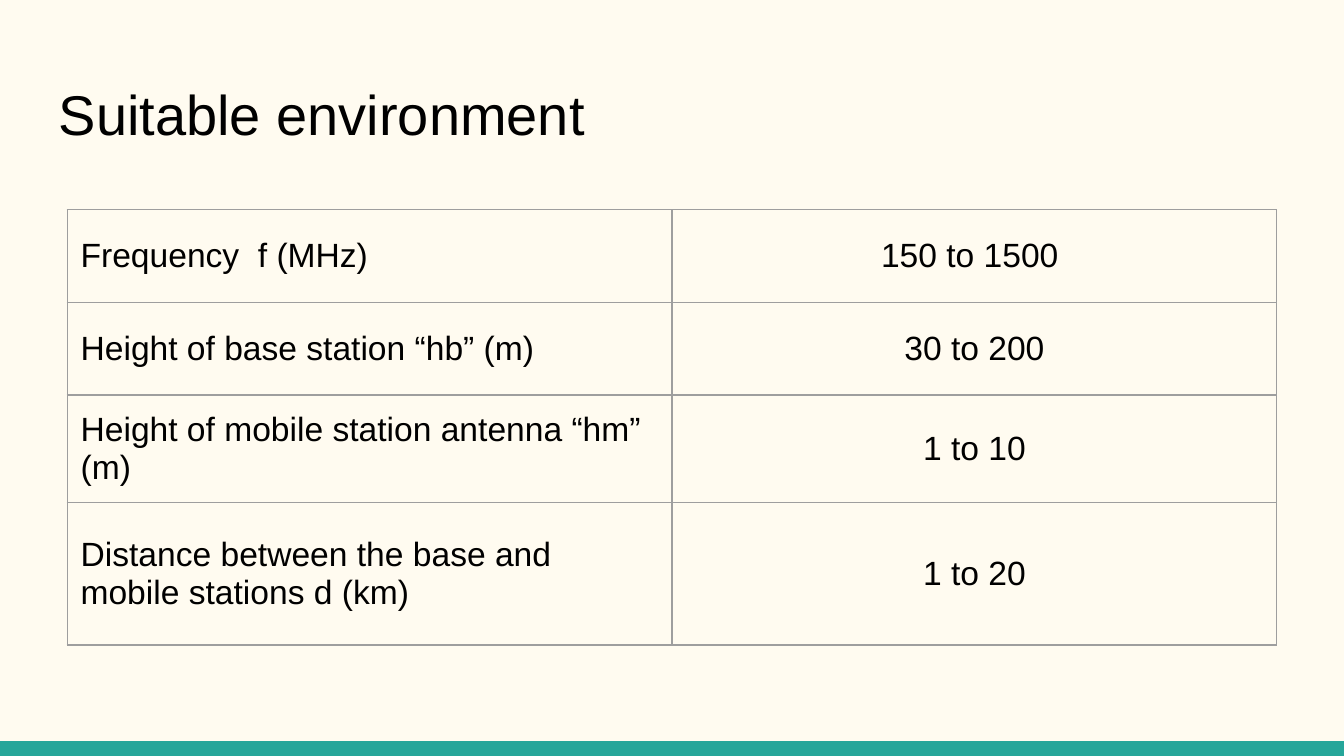
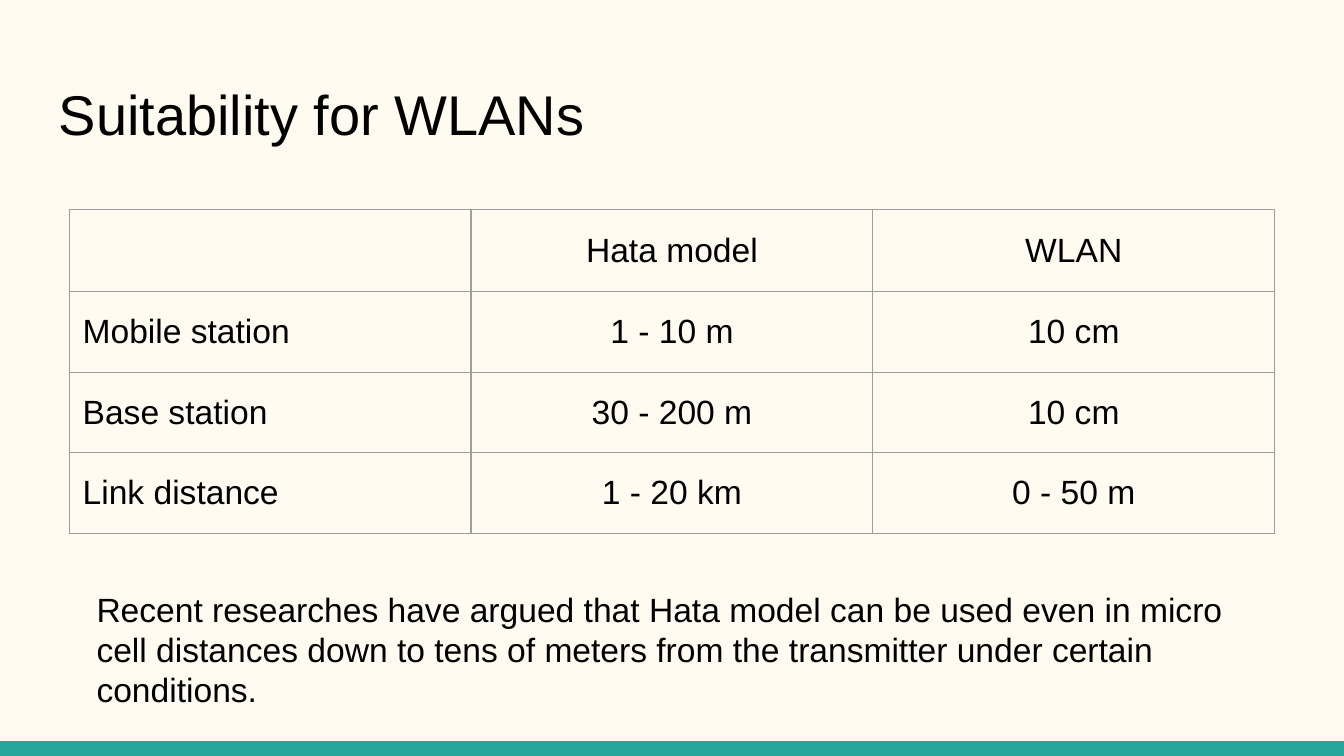
from dataclasses import dataclass

from lxml.etree import SubElement
from pptx import Presentation
from pptx.dml.color import RGBColor
from pptx.enum.shapes import MSO_SHAPE
from pptx.enum.text import MSO_ANCHOR, PP_ALIGN
from pptx.oxml.ns import qn
from pptx.util import Inches, Pt


@dataclass(frozen=True)
class Theme:
    paper: str = "FFFBF0"
    band: str = "26A69A"
    ink: str = "000000"
    rule: str = "9E9E9E"
    rule_width: float = 0.75
    font: str = "Arial"
    title_size: int = 30
    body_size: int = 18
    inset: float = 0.1


THEME = Theme()
WIDTH = 10
HEIGHT = WIDTH * 9 / 16
BAND_HEIGHT = 0.11
TITLE_BOX = (0.34, 0.49, 9.32, 0.67)
NOTE_BOX = (0.62, 4.28, 8.77, 0.93)
TABLE_TOP = 1.56

# Content
PAGES = [
    {
        "title": "Suitable environment",
        "column_width": 4.5,
        "row_heights": [0.69, 0.69, 0.69, 1.06],
        "rows": [
            ("Frequency  f (MHz)", "150 to 1500 "),
            ("Height of base station “hb” (m)", "30 to 200"),
            ("Height of mobile station antenna “hm” (m)", "1 to 10"),
            ("Distance between the base and mobile stations d (km)", "1 to 20"),
        ],
    },
    {
        "title": "Suitability for WLANs",
        "column_width": 2.99,
        "row_heights": [0.61, 0.6, 0.6, 0.6],
        "rows": [
            ("", "Hata model", "WLAN"),
            ("Mobile station", "1 - 10 m", "10 cm"),
            ("Base station", "30 - 200 m", "10 cm"),
            ("Link distance", "1 - 20 km", "0 - 50 m"),
        ],
        "note": "Recent researches have argued that Hata model can be used even in "
                "micro cell distances down to tens of meters from the transmitter "
                "under certain conditions.",
    },
]


def set_margins(target):
    target.margin_left = target.margin_right = Inches(THEME.inset)
    target.margin_top = target.margin_bottom = Inches(THEME.inset)


def write(para, text, size):
    para.line_spacing = 1.0
    span = para.add_run()
    span.text = text
    span.font.name = THEME.font
    span.font.size = Pt(size)
    span.font.color.rgb = RGBColor.from_string(THEME.ink)


def add_text(page, place, text, size):
    frame = page.shapes.add_textbox(*map(Inches, place)).text_frame
    frame.word_wrap = True
    frame.vertical_anchor = MSO_ANCHOR.TOP
    set_margins(frame)
    write(frame.paragraphs[0], text, size)


def add_band(page):
    place = (0, HEIGHT - BAND_HEIGHT, WIDTH, BAND_HEIGHT)
    band = page.shapes.add_shape(MSO_SHAPE.RECTANGLE, *map(Inches, place))
    band.shadow.inherit = False
    band.fill.solid()
    band.fill.fore_color.rgb = RGBColor.from_string(THEME.band)
    band.line.fill.background()


def style_cell(cell):
    cell.vertical_anchor = MSO_ANCHOR.MIDDLE
    set_margins(cell)
    # Borders must come before the fill in the cell properties
    properties = cell._tc.get_or_add_tcPr()
    for side in ("a:lnL", "a:lnR", "a:lnT", "a:lnB"):
        border = SubElement(properties, qn(side), w=str(Pt(THEME.rule_width)))
        paint = SubElement(border, qn("a:solidFill"))
        SubElement(paint, qn("a:srgbClr"), val=THEME.rule)
    cell.fill.background()


def add_grid(page, rows, column_width, row_heights):
    columns = len(rows[0])
    width = columns * column_width
    place = ((WIDTH - width) / 2, TABLE_TOP, width, sum(row_heights))
    table = page.shapes.add_table(len(rows), columns, *map(Inches, place)).table
    table.first_row = table.horz_banding = False
    for column in table.columns:
        column.width = Inches(column_width)
    for row, height, texts in zip(table.rows, row_heights, rows):
        row.height = Inches(height)
        for index, (cell, text) in enumerate(zip(row.cells, texts)):
            style_cell(cell)
            para = cell.text_frame.paragraphs[0]
            para.alignment = PP_ALIGN.CENTER if index else PP_ALIGN.LEFT
            if text:
                write(para, text, THEME.body_size)


def main():
    deck = Presentation()
    deck.slide_width, deck.slide_height = Inches(WIDTH), Inches(HEIGHT)
    backdrop = deck.slide_master.background.fill
    backdrop.solid()
    backdrop.fore_color.rgb = RGBColor.from_string(THEME.paper)

    for content in PAGES:
        page = deck.slides.add_slide(deck.slide_layouts[6])
        add_band(page)
        add_text(page, TITLE_BOX, content["title"], THEME.title_size)
        add_grid(page, content["rows"], content["column_width"], content["row_heights"])
        if "note" in content:
            add_text(page, NOTE_BOX, content["note"], THEME.body_size)

    deck.save("out.pptx")


if __name__ == "__main__":
    main()
